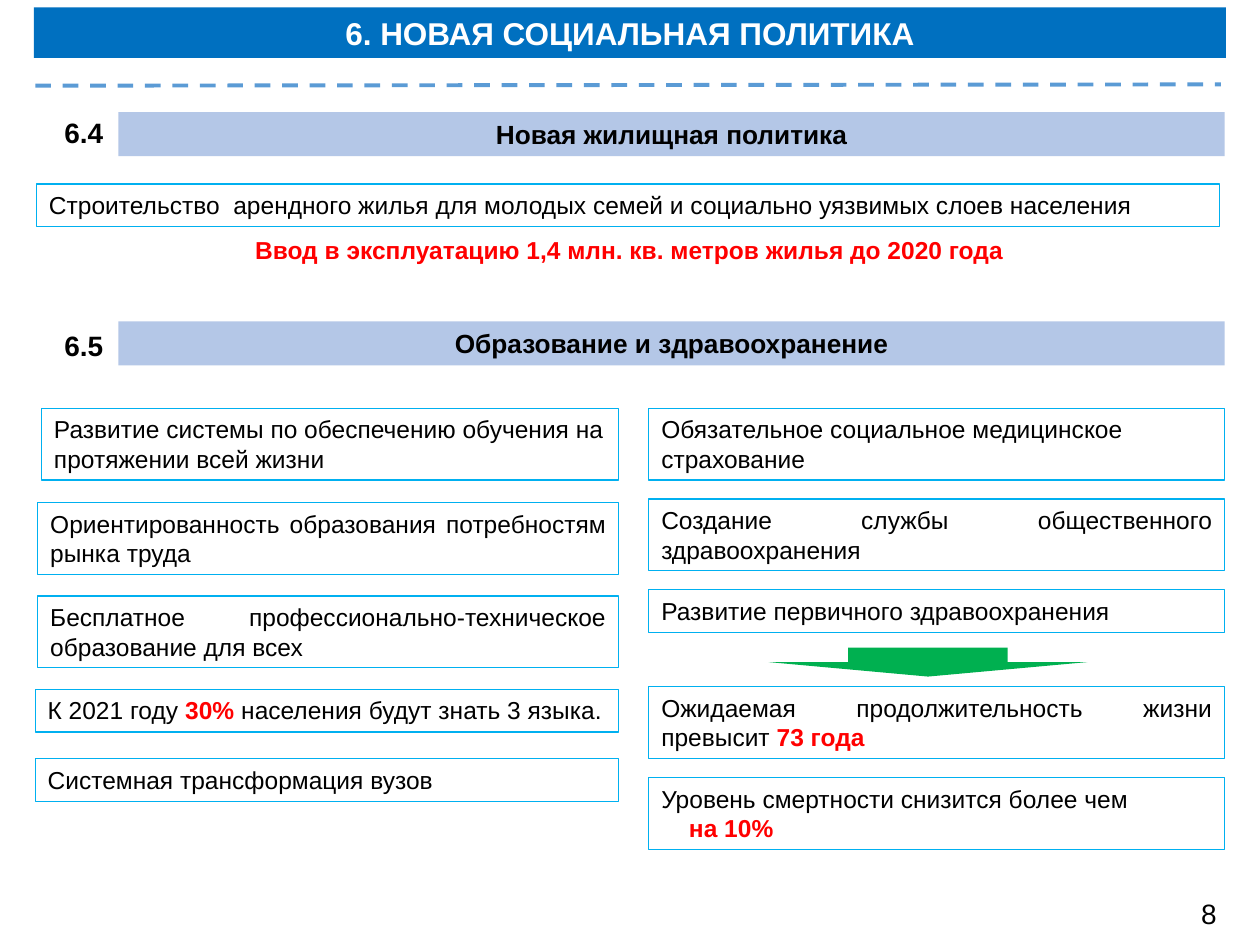
from lxml import etree
from pptx import Presentation
from pptx import util as u
from pptx.dml import color
from pptx.enum import dml, shapes, text
from pptx.oxml import ns

THEME = {
    "font": "Arial",
    "black": "000000", "white": "FFFFFF", "red": "FF0000",
    "title": "0070C0", "section": "B4C7E7", "border": "00B0F0",
    "dash": "5B9BD5", "arrow": "00B050",
    "title_size": 18, "number_size": 16, "section_size": 15, "body_size": 14,
    "border_width": 0.75, "dash_width": 2.25,
}
COLUMNS, ROWS = 100, 75
LINE_ROWS = {1: 3.4, 2: 5.7}
LEFT, CENTER, JUSTIFY = text.PP_ALIGN.LEFT, text.PP_ALIGN.CENTER, text.PP_ALIGN.JUSTIFY

TITLE = "6. НОВАЯ СОЦИАЛЬНАЯ ПОЛИТИКА"
PAGE = "8"
SECTIONS = [
    ("6.4", 8.7, "Новая жилищная политика", 8.9),
    ("6.5", 25.6, "Образование и здравоохранение", 25.5),
]
HOUSING = "Строительство  арендного жилья для молодых семей и социально уязвимых слоев населения"
HOUSING_GOAL = "Ввод в эксплуатацию 1,4 млн. кв. метров жилья до 2020 года"

# Each card: gap above, left column, line count, alignment, paragraphs of (text, highlighted) runs.
EDUCATION = [
    (0, 3.3, 2, LEFT, [[("Развитие системы по обеспечению обучения на протяжении всей жизни", False)]]),
    (1.8, 3, 2, JUSTIFY, [[("Ориентированность образования потребностям рынка труда", False)]]),
    (1.7, 3, 2, JUSTIFY, [[("Бесплатное профессионально-техническое образование для всех", False)]]),
    (1.7, 2.8, 1, JUSTIFY, [[("К 2021 году ", False), ("30%", True),
                             (" населения будут знать 3 языка.", False)]]),
    (2.1, 2.8, 1, LEFT, [[("Системная трансформация вузов", False)]]),
]
HEALTH = [
    (0, 51.5, 2, LEFT, [[("Обязательное социальное медицинское страхование", False)]]),
    (1.5, 51.5, 2, JUSTIFY, [[("Создание службы общественного здравоохранения", False)]]),
    (1.5, 51.5, 1, JUSTIFY, [[("Развитие первичного здравоохранения", False)]]),
    (4.3, 51.5, 2, JUSTIFY, [[("Ожидаемая продолжительность жизни превысит ", False), ("73 года", True)]]),
    (1.5, 51.5, 2, JUSTIFY, [[("Уровень смертности снизится более чем", False)], [("на 10%", True)]]),
]
CARD_COLUMNS = [(EDUCATION, 49.1), (HEALTH, 97.2)]
CARDS_TOP = 32.4
SECOND_INDENT = 2.2

presentation = Presentation()
presentation.slide_width, presentation.slide_height = u.Inches(10), u.Inches(7.5)
slide = presentation.slides.add_slide(presentation.slide_layouts[6])


def across(columns):
    return round(presentation.slide_width * columns / COLUMNS)


def down(rows):
    return round(presentation.slide_height * rows / ROWS)


def rgb(name):
    return color.RGBColor.from_string(THEME[name])


def add_box(left, top, width, height, fill=None, border=None, kind=shapes.MSO_SHAPE.RECTANGLE):
    place = across(left), down(top), across(width), down(height)
    if not fill and not border:
        return slide.shapes.add_textbox(*place)
    shape = slide.shapes.add_shape(kind, *place)
    shape.shadow.inherit = False
    if fill:
        shape.fill.solid()
        shape.fill.fore_color.rgb = rgb(fill)
    else:
        shape.fill.background()
    if border:
        shape.line.color.rgb = rgb(border)
        shape.line.width = u.Pt(THEME["border_width"])
    else:
        shape.line.fill.background()
    return shape


def write(shape, content, size="body_size", ink="black", bold=False, align=CENTER):
    paragraphs = [[(content, False)]] if isinstance(content, str) else content
    frame = shape.text_frame
    frame.word_wrap = True
    frame.vertical_anchor = text.MSO_ANCHOR.TOP
    frame.auto_size = text.MSO_AUTO_SIZE.SHAPE_TO_FIT_TEXT
    for index, runs in enumerate(paragraphs):
        paragraph = frame.add_paragraph() if index else frame.paragraphs[0]
        paragraph.alignment = align
        if index:
            paragraph._p.get_or_add_pPr().set("marL", str(across(SECOND_INDENT)))
        for words, highlighted in runs:
            run = paragraph.add_run()
            run.text = words
            run.font.name = THEME["font"]
            run.font.size = u.Pt(THEME[size])
            run.font.bold = bold or highlighted
            run.font.color.rgb = rgb("red" if highlighted else ink)


write(add_box(2.7, 0.6, 94.6, 4, fill="title"), TITLE, size="title_size", ink="white", bold=True)

divider = slide.shapes.add_connector(
    shapes.MSO_CONNECTOR.STRAIGHT, across(2.8), down(6.8), across(96.9), down(6.7))
divider.line.color.rgb = rgb("dash")
divider.line.width = u.Pt(THEME["dash_width"])
divider.line.dash_style = dml.MSO_LINE.DASH
etree.SubElement(divider._element.spPr, ns.qn("a:effectLst"))

for number, number_top, heading, heading_top in SECTIONS:
    write(add_box(3.9, number_top, 5.5, 3.7), number, size="number_size", bold=True)
    write(add_box(9.4, heading_top, 87.8, 3.5, fill="section"), heading, size="section_size", bold=True)

write(add_box(2.9, 14.6, 93.9, LINE_ROWS[1], border="border"), HOUSING, align=JUSTIFY)
write(add_box(3, 18.2, 93.9, LINE_ROWS[1]), HOUSING_GOAL, ink="red", bold=True)

for cards, right in CARD_COLUMNS:
    top = CARDS_TOP
    for gap, left, lines, align, paragraphs in cards:
        top += gap
        card = add_box(left, top, right - left, LINE_ROWS[lines], border="border")
        write(card, paragraphs, align=align)
        top += LINE_ROWS[lines]

add_box(61, 51.4, 25.3, 2.3, fill="arrow", kind=shapes.MSO_SHAPE.DOWN_ARROW)
write(add_box(93.2, 70.7, 5.5, 3.7), PAGE, size="number_size")

presentation.save("out.pptx")
